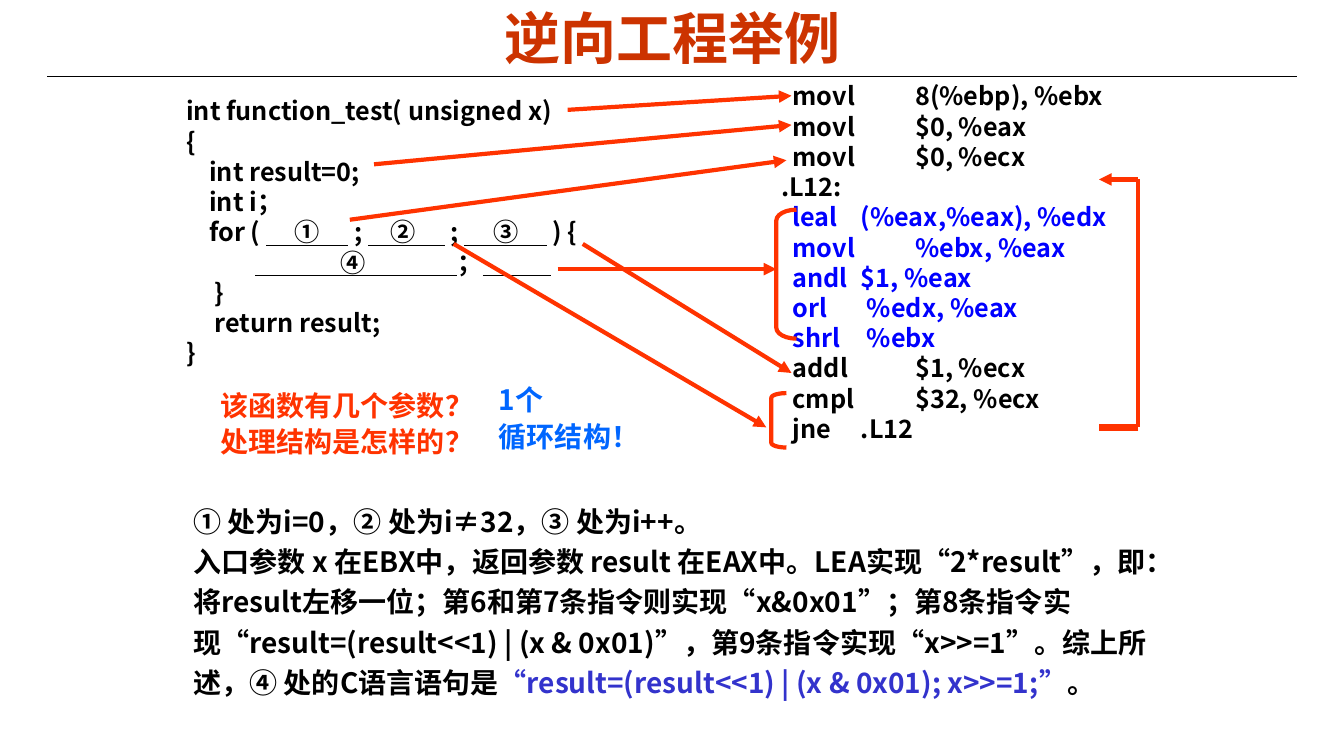
from lxml import etree
from pptx import Presentation
from pptx.dml.color import RGBColor
from pptx.enum.shapes import MSO_CONNECTOR, MSO_SHAPE
from pptx.enum.text import MSO_ANCHOR, PP_ALIGN
from pptx.oxml.ns import qn
from pptx.util import Inches, Pt

STRAIGHT = MSO_CONNECTOR.STRAIGHT
BRACKET = MSO_SHAPE.LEFT_BRACKET
MIDDLE, TOP = MSO_ANCHOR.MIDDLE, MSO_ANCHOR.TOP
CENTER, LEFT = PP_ALIGN.CENTER, PP_ALIGN.LEFT
SANS = "Noto Sans CJK SC"
BLACK, BLUE, RED = "000000", "0000FF", "FF3300"

ASM = [
    ("  movl\t8(%ebp), %ebx", 1.33, BLACK),
    ("  movl\t$0, %eax", 1.33, BLACK),
    ("  movl\t$0, %ecx", 1.33, BLACK),
    (".L12:", None, BLACK),
    ("  leal\t(%eax,%eax), %edx", 0.79, BLUE),
    ("  movl\t%ebx, %eax", 1.33, BLUE),
    ("  andl\t$1, %eax", 0.79, BLUE),
    ("  orl\t%edx, %eax", 0.85, BLUE),
    ("  shrl\t%ebx", 0.85, BLUE),
    ("  addl\t$1, %ecx", 1.33, BLACK),
    ("  cmpl\t$32, %ecx", 1.33, BLACK),
    ("  jne\t.L12", 0.79, BLACK),
]
CODE = [
    ["int function_test( unsigned x)"],
    ["{"],
    ["    int result=0;"],
    ["    int i；"],
    ["    for ( ", "     ①     ", " ; ", "    ②     ", " ; ", "     ③     ", " ) {"],
    ["            ", "               ④                ", "；", "            "],
    ["     }"],
    ["     return result;"],
    ["}"],
]
NOTES = [
    ["① 处为i=0，② 处为i≠32，③ 处为i++。"],
    ["入口参数 x 在EBX中，返回参数 result 在EAX中。LEA实现“2*result”，"
     "即：将result左移一位；第6和第7条指令则实现“x&0x01”；"
     "第8条指令实现“result=(result<<1) | (x & 0x01)”，"
     "第9条指令实现“x>>=1”。综上所述，④ 处的C语言语句是",
     "“result=(result<<1) | (x & 0x01); x>>=1;”", "。"],
]
ARROWS = [
    ((5.63, 1.09), (7.85, 0.95)),
    ((3.71, 1.63), (7.85, 1.24)),
    ((3.47, 2.18), (7.8, 1.59)),
    ((4.5, 2.42), (7.6, 4.24)),
    ((5.78, 2.42), (7.85, 3.7)),
    ((5.53, 2.67), (7.7, 2.67)),
    ((11.29, 1.78), (10.9, 1.78)),
]


def rgb(color):
    """Turn a hex string into a colour."""
    return RGBColor.from_string(color)


def add_box(slide, left, top, width, height, anchor=TOP):
    """Add a wrapping text box and return its frame."""
    box = slide.shapes.add_textbox(Inches(left), Inches(top), Inches(width), Inches(height))
    frame = box.text_frame
    frame.word_wrap = True
    frame.vertical_anchor = anchor
    return frame


def add_para(frame, parts, size, color, pitch=1.2, tab=None, face=SANS, align=LEFT):
    """Write the next paragraph of a frame and return its runs."""
    para = frame.paragraphs[0]
    if para.runs:
        para = frame.add_paragraph()
    para.alignment = align
    para.line_spacing = Pt(size * pitch)
    if tab:
        tabs = etree.SubElement(para._p.get_or_add_pPr(), qn("a:tabLst"))
        etree.SubElement(tabs, qn("a:tab"), pos=str(Inches(tab)), algn="l")
    font = para.font
    font.name, font.size, font.bold = face, Pt(size), True
    font.color.rgb = rgb(color)
    props = para._p.pPr.find(qn("a:defRPr"))
    etree.SubElement(props, qn("a:ea"), typeface=SANS)
    for part in parts:
        para.add_run().text = part
    return para.runs


def add_line(slide, start, end, color=RED, width=3, arrow=False):
    """Draw a straight line, with an arrowhead at its end if asked."""
    line = slide.shapes.add_connector(STRAIGHT, *map(Inches, start + end))
    line.line.color.rgb = rgb(color)
    line.line.width = Pt(width)
    if arrow:
        etree.SubElement(line.line._get_or_add_ln(), qn("a:tailEnd"), type="triangle")
    etree.SubElement(line._element.spPr, qn("a:effectLst"))


def add_brace(slide, left, top, width, height, bend):
    """Draw a left bracket around a group of instructions."""
    brace = slide.shapes.add_shape(
        BRACKET, Inches(left), Inches(top), Inches(width), Inches(height))
    brace.adjustments[0] = bend
    brace.shadow.inherit = False
    brace.fill.background()
    brace.line.color.rgb = rgb(RED)
    brace.line.width = Pt(3)


def add_code(slide):
    """Write the C function with its underlined blanks."""
    frame = add_box(slide, 1.75, 0.9, 4.87, 2.83)
    for parts in CODE:
        for blank in add_para(frame, parts, 18, BLACK)[1::2]:
            blank.font.underline = True


def add_asm(slide):
    """Write the assembly listing."""
    frame = add_box(slide, 7.65, 0.73, 4.69, 3.74, MIDDLE)
    for text, tab, color in ASM:
        add_para(frame, [text], 18, color, tab=tab)


def add_notes(slide):
    """Write the explanation with its coloured statement."""
    frame = add_box(slide, 1.82, 4.69, 9.67, 2.49, MIDDLE)
    for parts in NOTES:
        for answer in add_para(frame, parts, 20, BLACK, pitch=1.44)[1::2]:
            answer.font.color.rgb = rgb("3333CC")


def add_pair(slide, left, top, width, lines, color):
    """Write two lines of questions or answers."""
    frame = add_box(slide, left, top, width, 0.81)
    for text in lines:
        add_para(frame, [text], 20, color)
    frame.paragraphs[1].space_before = Pt(2)


def main():
    """Build the slide and save it."""
    deck = Presentation()
    deck.slide_width, deck.slide_height = Inches(13.33), Inches(7.5)
    slide = deck.slides.add_slide(deck.slide_layouts[6])
    add_line(slide, (0.47, 0.76), (12.86, 0.76), BLACK, 0.75)
    title = add_box(slide, 2.17, 0.06, 9, 0.61, MIDDLE)
    add_para(title, ["逆向工程举例"], 40, "CC3300", face="Arial", align=CENTER)
    add_asm(slide)
    add_notes(slide)
    add_code(slide)
    for start, end in ARROWS:
        add_line(slide, start, end, arrow=True)
    add_line(slide, (11.29, 4.24), (10.9, 4.24), width=4.5)
    add_line(slide, (11.29, 1.78), (11.29, 4.24))
    add_brace(slide, 7.65, 3.9, 0.15, 0.54, 0.31)
    add_brace(slide, 7.7, 2.08, 0.2, 1.28, 0.54)
    add_pair(slide, 2.09, 3.8, 2.8, ["该函数有几个参数？", "处理结构是怎样的？"], RED)
    add_pair(slide, 4.85, 3.75, 1.97, ["1个", "循环结构！"], "0066FF")
    deck.save("out.pptx")


if __name__ == "__main__":
    main()
